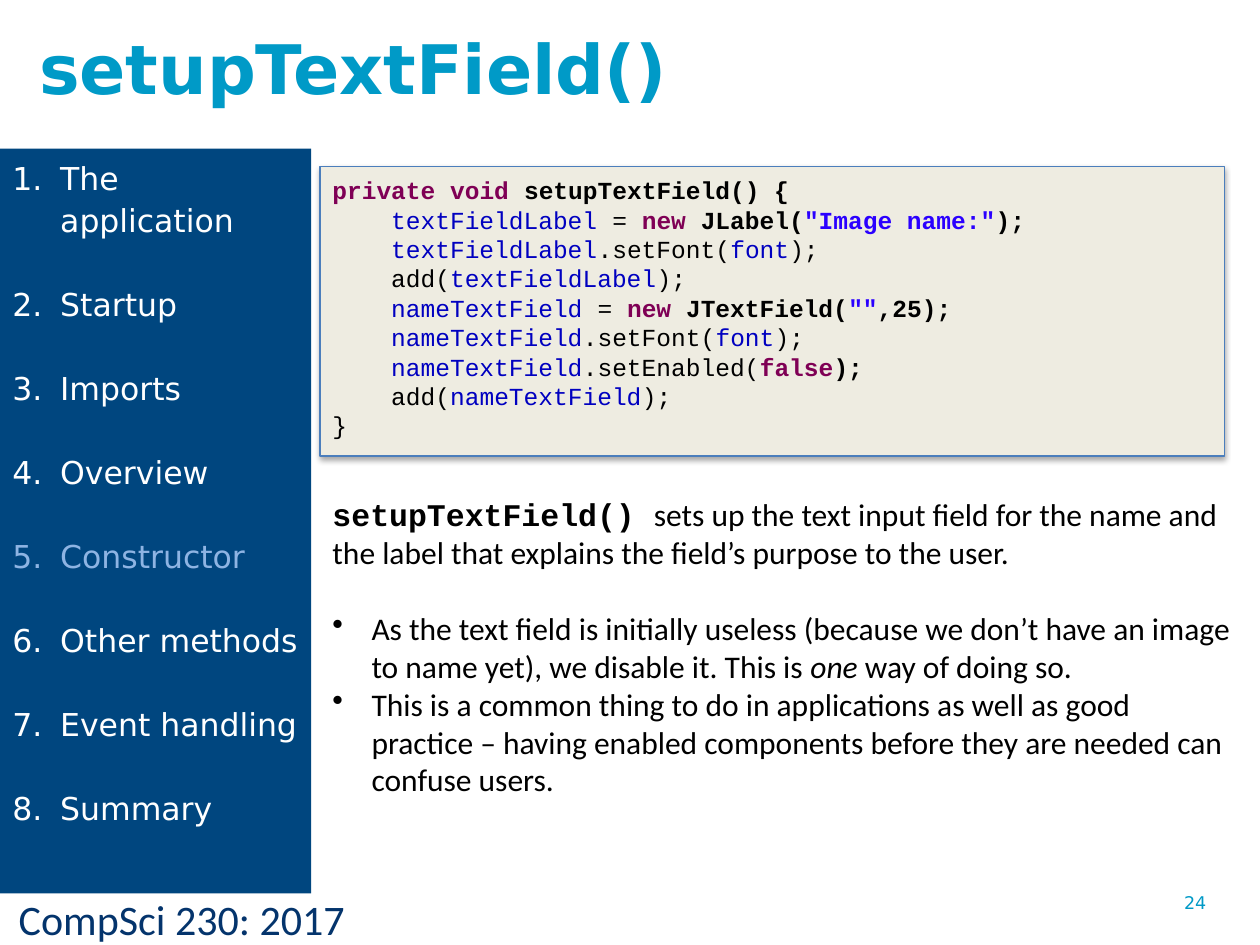
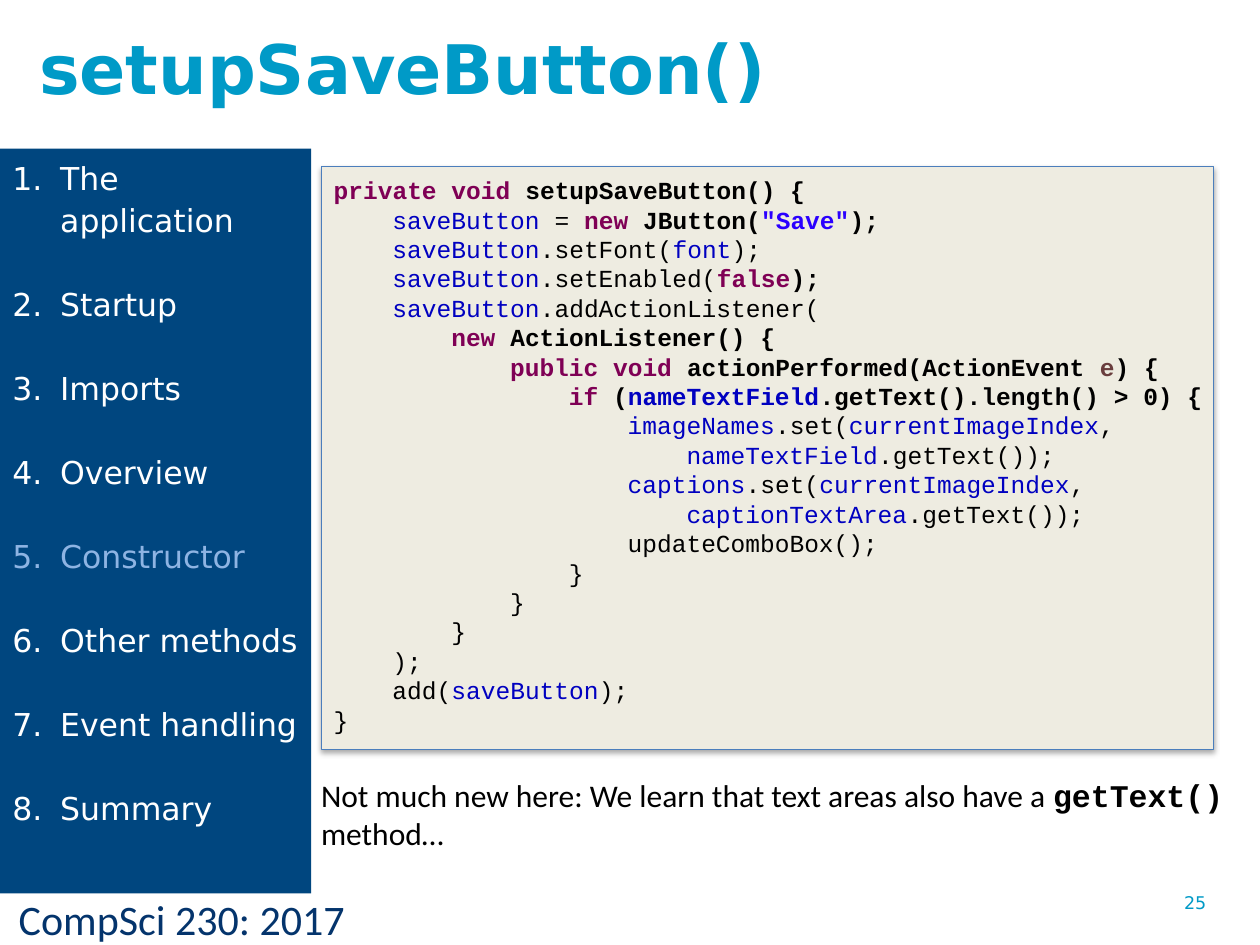
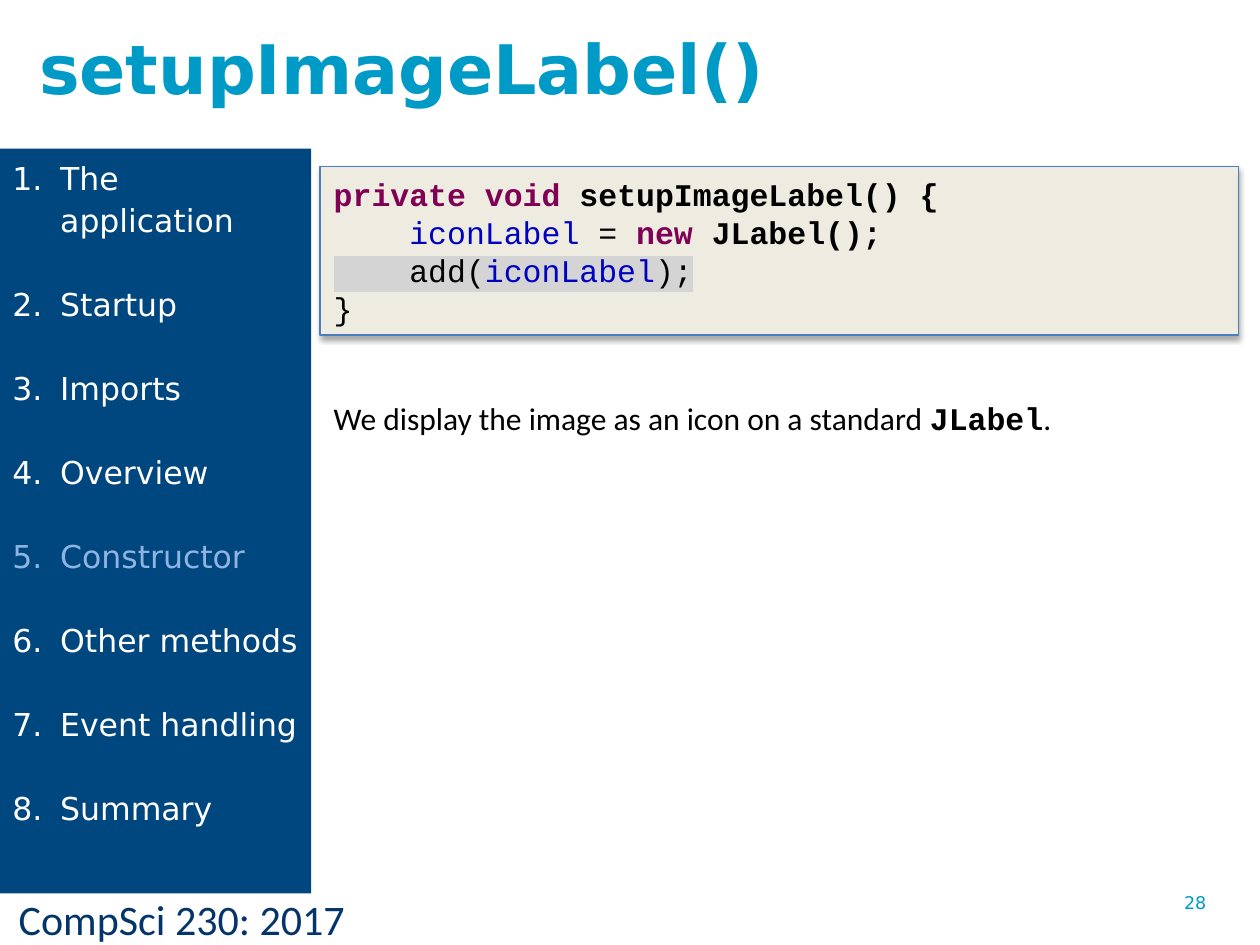
import pptx
import pptx.util
import pptx.oxml
import pptx.dml.color
import pptx.enum.shapes
import pptx.enum.text

Inches, Pt = pptx.util.Inches, pptx.util.Pt
RGBColor = pptx.dml.color.RGBColor
ANCHOR = pptx.enum.text.MSO_ANCHOR
DRAWING_NS = 'xmlns:a="http://schemas.openxmlformats.org/drawingml/2006/main"'

# Colours
WHITE = RGBColor(0xFF, 0xFF, 0xFF)
BLACK = RGBColor(0x00, 0x00, 0x00)
TITLE_BLUE = RGBColor(0x00, 0x9A, 0xC7)
FOOTER_NAVY = RGBColor(0x04, 0x34, 0x6C)
SIDEBAR_BLUE = RGBColor(0x00, 0x46, 0x7F)
CURRENT_TOPIC = RGBColor(0x8E, 0xB4, 0xE3)
CARD_BEIGE = RGBColor(0xEE, 0xEC, 0xE1)
CARD_BORDER = RGBColor(0x4B, 0x7E, 0xBC)
KEYWORD = RGBColor(0x7F, 0x00, 0x55)
FIELD = RGBColor(0x00, 0x00, 0xC0)
STRING = RGBColor(0x2A, 0x00, 0xFF)
PARAMETER = RGBColor(0x6A, 0x3E, 0x3E)
HIGHLIGHT = "D4D4D4"

# Run formats
SANS, MONO, PROSE = "DejaVu Sans", "Courier New", "Calibri"
TITLE = {"name": SANS, "size": Pt(39), "bold": True, "color": TITLE_BLUE}
NUMBER = {"name": SANS, "size": Pt(10), "color": TITLE_BLUE}
FOOTER = {"name": PROSE, "size": Pt(24), "color": FOOTER_NAVY}
TOPIC = {"name": SANS, "size": Pt(18), "color": WHITE}
STYLES = {
    # code
    "key": {"name": MONO, "bold": True, "color": KEYWORD},
    "strong": {"name": MONO, "bold": True, "color": BLACK},
    "code": {"name": MONO, "bold": False, "color": BLACK},
    "field": {"name": MONO, "bold": False, "color": FIELD},
    "strongfield": {"name": MONO, "bold": True, "color": FIELD},
    "string": {"name": MONO, "bold": True, "color": STRING},
    "param": {"name": MONO, "bold": True, "color": PARAMETER},
    # notes
    "prose": {"name": PROSE, "color": BLACK},
    "italic": {"name": PROSE, "italic": True, "color": BLACK},
}

# Shared content
FOOTER_TEXT = "CompSci 230: 2017"
TOPICS = ["The application", "Startup", "Imports", "Overview", "Constructor",
          "Other methods", "Event handling", "Summary"]
CURRENT = "Constructor"


def set_font(field):
    return (1, ("field", field), ("code", ".setFont("), ("field", "font"), ("code", ");"))


def disable(field):
    return (1, ("field", field), ("code", ".setEnabled("), ("key", "false"), ("strong", ");"))


def add_field(field):
    return (1, ("code", "add("), ("field", field), ("code", ");"))


def create(field, *call):
    return (1, ("field", field + " "), ("code", "= "), ("key", "new "), *call)


def method(name):
    return (0, ("key", "private void "), ("strong", name + " {"))


def store(target, source):
    return [(5, ("field", target), ("code", ".set("), ("field", "currentImageIndex"),
             ("code", ",")),
            (6, ("field", source), ("code", ".getText());"))]


END = (0, ("code", "}"))

# Slides: each code line is (indent level, runs...); boxes are left, top, width, height
SLIDES = [
    {
        "title": "setupTextField()", "number": 24, "code_size": 14,
        "card": (2.54, 1.32, 7.18, 2.3), "code_box": (2.54, 1.33, 7.26, 2.29),
        "code": [
            method("setupTextField()"),
            create("textFieldLabel", ("strong", "JLabel("), ("string", '"Image name:"'),
                   ("strong", ");")),
            set_font("textFieldLabel"),
            add_field("textFieldLabel"),
            create("nameTextField", ("strong", "JTextField("), ("string", '""'),
                   ("strong", ",25);")),
            set_font("nameTextField"),
            disable("nameTextField"),
            add_field("nameTextField"),
            END,
        ],
        "notes_box": (2.54, 3.88, 7.38, 2.52),
        "notes": [[("strong", "setupTextField() "),
                   ("prose", "sets up the text input field for the name and the label "
                             "that explains the field’s purpose to the user.")]],
        "bullets": [
            [("prose", "As the text field is initially useless (because we don’t have an "
                       "image to name yet), we disable it. This is "),
             ("italic", "one"), ("prose", " way of doing so.")],
            [("prose", "This is a common thing to do in applications as well as good "
                       "practice – having enabled components before they are needed can "
                       "confuse users.")],
        ],
    },
    {
        "title": "setupSaveButton()", "number": 25, "code_size": 14,
        "card": (2.55, 1.32, 7.08, 4.63), "code_box": (2.55, 1.33, 7.29, 4.62),
        "code": [
            method("setupSaveButton()"),
            create("saveButton", ("strong", "JButton("), ("string", '"Save"'),
                   ("strong", ");")),
            set_font("saveButton"),
            disable("saveButton"),
            (1, ("field", "saveButton"), ("code", ".addActionListener(")),
            (2, ("key", "new "), ("strong", "ActionListener() {")),
            (3, ("key", "public void "), ("strong", "actionPerformed(ActionEvent "),
             ("param", "e"), ("strong", ") {")),
            (4, ("key", "if "), ("strong", "("), ("strongfield", "nameTextField"),
             ("strong", ".getText().length() > 0) {")),
            *store("imageNames", "nameTextField"),
            *store("captions", "captionTextArea"),
            (5, ("code", "updateComboBox();")),
            *[(level, ("code", "}")) for level in (4, 3, 2)],
            (1, ("code", ");")),
            add_field("saveButton"),
            END,
        ],
        "notes_box": (2.45, 6.11, 7.38, 0.71),
        "notes": [[("prose", "Not much new here: We learn that text areas also have a "),
                   ("strong", "getText()"), ("prose", " method…")]],
    },
    {
        "title": "setupImageLabel()", "number": 28, "code_size": 18,
        "card": (2.54, 1.32, 7.29, 1.34), "code_box": (2.55, 1.33, 7.28, 1.02),
        "code": [
            method("setupImageLabel()"),
            create("iconLabel", ("strong", "JLabel();")),
            add_field("iconLabel"),
            END,
        ],
        "highlighted_line": 2,
        "notes_box": (2.55, 3.12, 7.38, 0.4),
        "notes": [[("prose", "We display the image as an icon on a standard "),
                   ("strong", "JLabel"), ("prose", ".")]],
    },
]


# Text helpers
def add_run(paragraph, text, style, size=None):
    run = paragraph.add_run()
    run.text = text
    for key, value in style.items():
        if key == "color":
            run.font.color.rgb = value
        else:
            setattr(run.font, key, value)
    if size:
        run.font.size = Pt(size)
    return run


def next_paragraph(frame):
    first = frame.paragraphs[0]
    return frame.add_paragraph() if first.runs else first


def text_box(slide, box):
    frame = slide.shapes.add_textbox(*map(Inches, box)).text_frame
    frame.word_wrap = True
    return frame


def indent(paragraph, left, first=0, marker=None):
    properties = paragraph._p.get_or_add_pPr()
    properties.set("marL", str(int(left)))
    properties.set("indent", str(int(first)))
    if marker:
        properties.append(pptx.oxml.parse_xml(marker))


def highlight(run):
    latin = run.font._element.find(pptx.oxml.ns.qn("a:latin"))
    latin.addprevious(pptx.oxml.parse_xml(
        f'<a:highlight {DRAWING_NS}><a:srgbClr val="{HIGHLIGHT}"/></a:highlight>'))


def rectangle(slide, box, fill):
    shape = slide.shapes.add_shape(pptx.enum.shapes.MSO_SHAPE.RECTANGLE, *map(Inches, box))
    shape.shadow.inherit = False
    shape.fill.solid()
    shape.fill.fore_color.rgb = fill
    return shape


# Slide parts
def add_title(slide, text):
    title = slide.shapes.title
    title.left, title.top, title.width, title.height = map(Inches, (0.21, 0.14, 7.13, 0.78))
    frame = title.text_frame
    frame.auto_size = pptx.enum.text.MSO_AUTO_SIZE.NONE
    frame.vertical_anchor = ANCHOR.MIDDLE
    frame.paragraphs[0].alignment = pptx.enum.text.PP_ALIGN.LEFT
    add_run(frame.paragraphs[0], text, TITLE)


def add_card(slide, box):
    card = rectangle(slide, box, CARD_BEIGE)
    card.line.color.rgb = CARD_BORDER
    card.line.width = Pt(0.75)
    effects = card._element.spPr.find(pptx.oxml.ns.qn("a:effectLst"))
    effects.append(pptx.oxml.parse_xml(
        f'<a:outerShdw {DRAWING_NS} blurRad="{Pt(3.1)}" dist="{Pt(1.8)}" dir="5400000" '
        'rotWithShape="0"><a:srgbClr val="000000"><a:alpha val="35000"/></a:srgbClr>'
        '</a:outerShdw>'))


def add_code(slide, box, lines, size, highlighted_line):
    frame = text_box(slide, box)
    frame.margin_top = Inches(0.06)
    level_width = Pt(4 * 0.6 * size)  # four monospaced characters
    for index, (level, *runs) in enumerate(lines):
        paragraph = next_paragraph(frame)
        paragraph.line_spacing = Pt(1.2 * size)
        marked = index == highlighted_line
        if marked:  # the highlight also covers the indentation
            runs = [("code", " " * 4 * level), *runs]
        else:
            indent(paragraph, level * level_width)
        for style, text in runs:
            run = add_run(paragraph, text, STYLES[style], size)
            if marked:
                highlight(run)


def add_notes(slide, box, notes, bullets):
    frame = text_box(slide, box)
    for runs in notes + bullets:
        paragraph = next_paragraph(frame)
        if runs in bullets:
            indent(paragraph, Inches(0.31), -Inches(0.31),
                   f'<a:buChar {DRAWING_NS} char="•"/>')
        elif bullets:
            paragraph.space_after = Pt(22)
        for style, text in runs:
            add_run(paragraph, text, STYLES[style], 18)


def add_sidebar(slide):
    sidebar = rectangle(slide, (0, 1.18, 2.47, 5.91), SIDEBAR_BLUE)
    sidebar.line.fill.background()
    frame = sidebar.text_frame
    frame.word_wrap = True
    frame.vertical_anchor = ANCHOR.TOP
    for topic in TOPICS:
        paragraph = next_paragraph(frame)
        paragraph.alignment = pptx.enum.text.PP_ALIGN.LEFT
        paragraph.line_spacing = paragraph.space_after = Pt(24)
        indent(paragraph, Inches(0.38), -Inches(0.38),
               f'<a:buAutoNum {DRAWING_NS} type="arabicPeriod"/>')
        color = CURRENT_TOPIC if topic == CURRENT else WHITE
        add_run(paragraph, topic, {**TOPIC, "color": color})


def build_slide(deck, content):
    slide = deck.slides.add_slide(deck.slide_layouts[5])
    add_run(text_box(slide, (0.05, 7.04, 4.05, 0.5)).paragraphs[0], FOOTER_TEXT, FOOTER)
    add_card(slide, content["card"])
    add_run(text_box(slide, (9.3, 7.03, 0.7, 0.52)).paragraphs[0],
            str(content["number"]), NUMBER)
    add_title(slide, content["title"])
    add_code(slide, content["code_box"], content["code"], content["code_size"],
             content.get("highlighted_line"))
    add_notes(slide, content["notes_box"], content["notes"], content.get("bullets", []))
    add_sidebar(slide)


def main():
    deck = pptx.Presentation()
    deck.slide_width, deck.slide_height = Inches(10), Inches(7.5)
    for content in SLIDES:
        build_slide(deck, content)
    deck.save("out.pptx")


if __name__ == "__main__":
    main()
